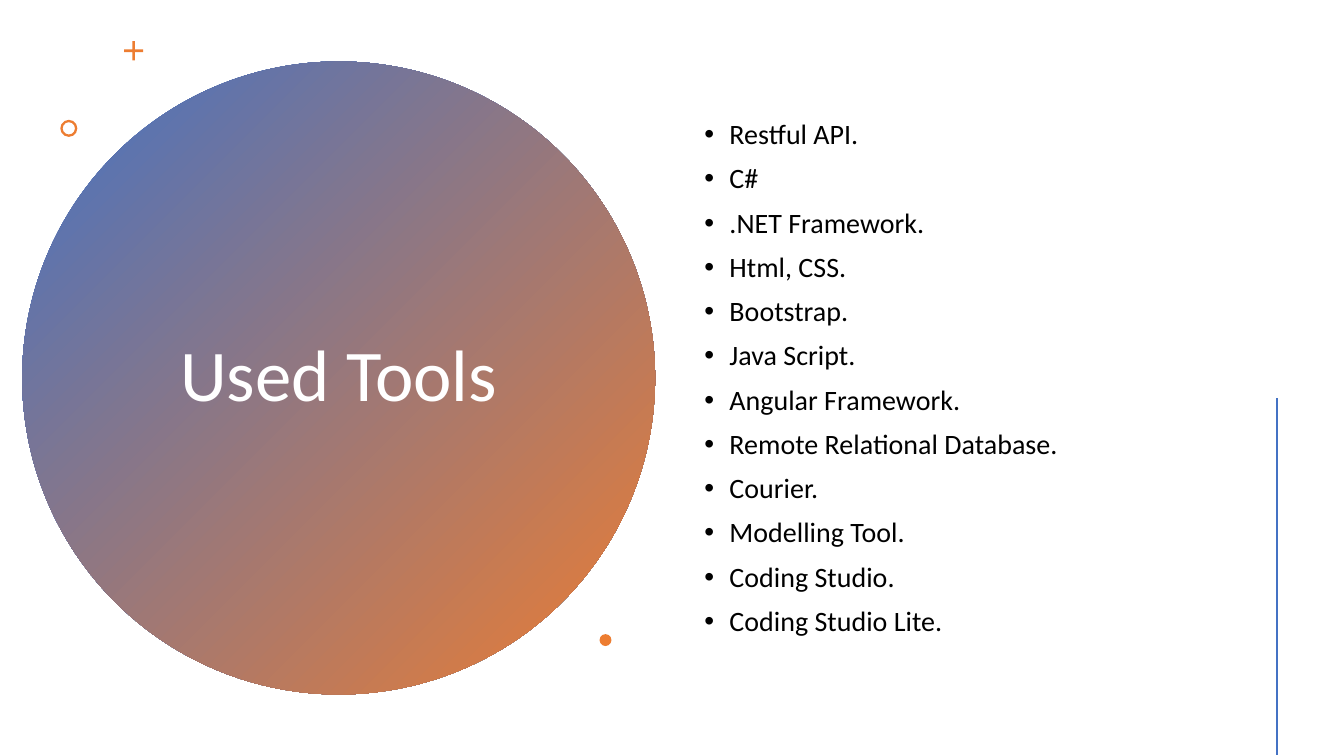
from lxml import etree
from pptx import Presentation
from pptx.dml.color import RGBColor
from pptx.enum.shapes import MSO_CONNECTOR, MSO_SHAPE
from pptx.enum.text import MSO_ANCHOR, PP_ALIGN
from pptx.oxml.ns import qn
from pptx.util import Cm, Pt

OVAL, CROSS, DONUT = MSO_SHAPE.OVAL, MSO_SHAPE.CROSS, MSO_SHAPE.DONUT
STRAIGHT = MSO_CONNECTOR.STRAIGHT
MIDDLE = MSO_ANCHOR.MIDDLE
LEFT, CENTER = PP_ALIGN.LEFT, PP_ALIGN.CENTER

FONT = "Calibri"
COLORS = {"blue": "4472C4", "orange": "ED7D31", "white": "FFFFFF", "black": "000000"}
TOOLS = [
    "Restful API.", "C#", ".NET Framework.", "Html, CSS.", "Bootstrap.", "Java Script.",
    "Angular Framework.", "Remote Relational Database.", "Courier.",
    "Modelling Tool.", "Coding Studio.", "Coding Studio Lite.",
]


def rgb(name):
    """Return the named colour."""
    return RGBColor.from_string(COLORS[name])


def add_round(s, kind, x, y, size, color="orange", adjust=None):
    """Add a borderless shape as wide as it is high."""
    sp = s.shapes.add_shape(kind, Cm(x), Cm(y), Cm(size), Cm(size))
    sp.shadow.inherit = False
    sp.line.fill.background()
    sp.fill.solid()
    sp.fill.fore_color.rgb = rgb(color)
    if adjust is not None:
        sp.adjustments[0] = adjust
    return sp


def add_bullet(p, indent):
    """Give a paragraph a round bullet with a hanging indent in cm."""
    pPr = p._p.get_or_add_pPr()
    pPr.set("marL", str(Cm(indent)))
    pPr.set("indent", str(-Cm(indent)))
    etree.SubElement(pPr, qn("a:buFont")).set("typeface", "Arial")
    etree.SubElement(pPr, qn("a:buChar")).set("char", "•")


def add_text(s, lines, x, y, w, h, size, color, align=LEFT, before=0, bullet=None):
    """Add a vertically centred text box with one paragraph per line."""
    tf = s.shapes.add_textbox(Cm(x), Cm(y), Cm(w), Cm(h)).text_frame
    tf.word_wrap = True
    tf.vertical_anchor = MIDDLE
    for i, line in enumerate(lines):
        p = tf.add_paragraph() if i else tf.paragraphs[0]
        p.alignment = align
        p.line_spacing = 0.9
        p.space_before = Pt(before if i else 0)
        if bullet:
            add_bullet(p, bullet)
        r = p.add_run()
        r.text = line
        r.font.name, r.font.size, r.font.color.rgb = FONT, Pt(size), rgb(color)


def title_disc(s, title, x, y, size):
    """Place the gradient disc, its title and the small ornaments around it."""
    disc = add_round(s, OVAL, x, y, size)
    disc.fill.gradient()
    disc.fill.gradient_angle = 315
    for stop, name, position in zip(disc.fill.gradient_stops, ("blue", "orange"), (0, 1)):
        stop.color.rgb = rgb(name)
        stop.position = position
    dx, dy = 2.9, 2.03
    add_text(s, [title], x + dx, y + dy, size - 2 * dx, size - 2 * dy, 52, "white", CENTER)
    add_round(s, CROSS, x + 2.57, y - 0.51, 0.48, adjust=0.43)
    add_round(s, DONUT, x + 0.96, y + 1.47, 0.43, adjust=0.14)
    add_round(s, OVAL, x + 14.55, y + 14.43, 0.3)


def tool_list(s, tools, x, y, w, h):
    """Place the bulleted list of tools."""
    add_text(s, tools, x, y, w, h, 20, "black", before=10, bullet=0.635)


def side_rule(s, x, top, bottom):
    """Draw the vertical rule down the right side."""
    rule = s.shapes.add_connector(STRAIGHT, Cm(x), Cm(top), Cm(x), Cm(bottom))
    rule.line.color.rgb = rgb("blue")
    rule.line.width = Pt(2)
    etree.SubElement(rule._element.spPr, qn("a:effectLst"))


def main():
    """Build and save the slide."""
    prs = Presentation()
    prs.slide_width, prs.slide_height = Cm(33.87), Cm(19.05)
    s = prs.slides.add_slide(prs.slide_layouts[6])
    title_disc(s, "Used Tools", 0.56, 1.55, 15.95)
    tool_list(s, TOOLS, 17.5, 1.45, 13.26, 16.2)
    side_rule(s, 32.18, 10.03, 19.03)
    prs.save("out.pptx")


if __name__ == "__main__":
    main()
